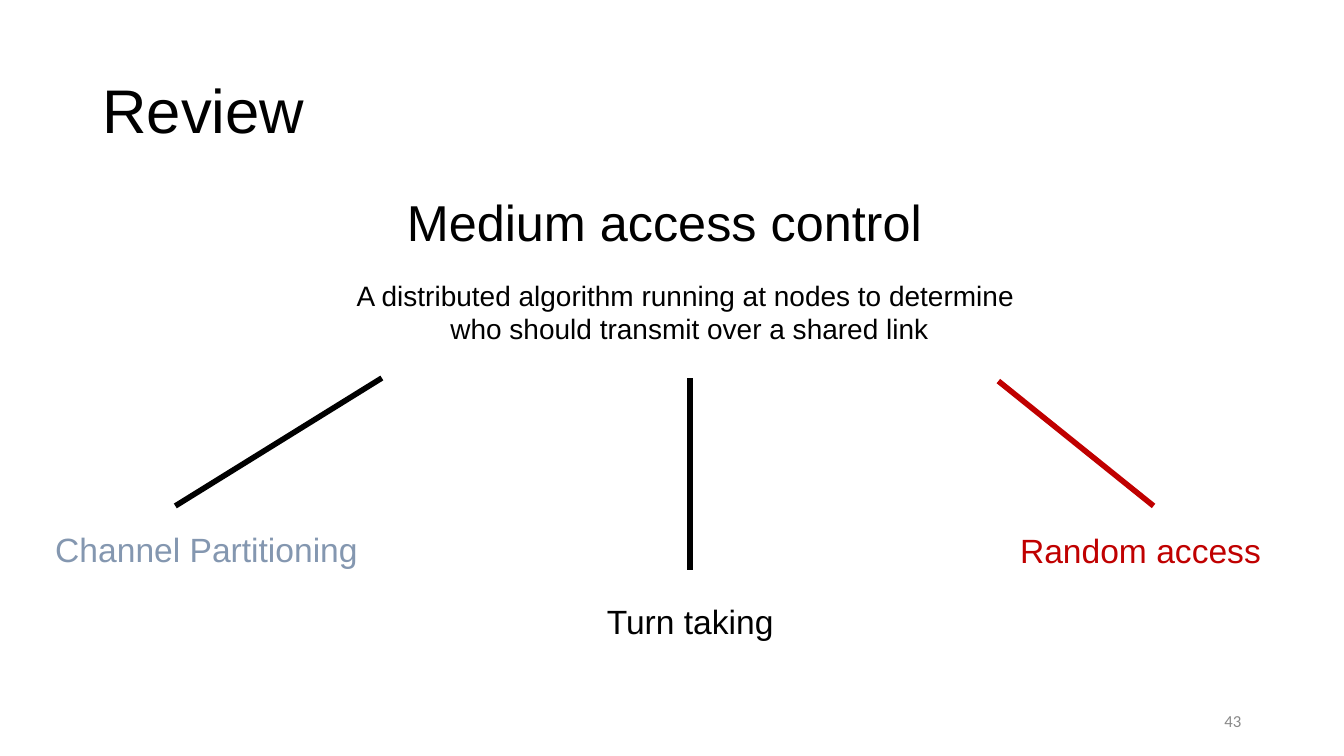
from lxml import etree
from pptx import Presentation
from pptx.dml.color import RGBColor
from pptx.enum.shapes import MSO_CONNECTOR
from pptx.enum.text import MSO_ANCHOR, PP_ALIGN
from pptx.oxml.ns import qn
from pptx.util import Pt

LEFT, CENTER, RIGHT = PP_ALIGN.LEFT, PP_ALIGN.CENTER, PP_ALIGN.RIGHT
TOP, MIDDLE = MSO_ANCHOR.TOP, MSO_ANCHOR.MIDDLE
STRAIGHT = MSO_CONNECTOR.STRAIGHT
BLACK = RGBColor(0x00, 0x00, 0x00)
RED = RGBColor(0xC0, 0x00, 0x00)
BLUE_GRAY = RGBColor(0x84, 0x97, 0xB0)
GRAY = RGBColor(0x89, 0x89, 0x89)

prs = Presentation()
prs.slide_width, prs.slide_height = Pt(960.5), Pt(540)
s = prs.slides.add_slide(prs.slide_layouts[6])


def add_text(box, lines, size, color=BLACK, align=LEFT, anchor=TOP, font="Arial"):
    tf = s.shapes.add_textbox(*map(Pt, box)).text_frame
    tf.word_wrap = True
    tf.vertical_anchor = anchor
    tf.text = "\n".join(lines)
    for p in tf.paragraphs:
        p.alignment = align
        p.font.name, p.font.size = font, Pt(size)
        p.font.color.rgb = color
    return tf


title = add_text((66.2, 28.8, 828, 104.4), ["Review"], 44, anchor=MIDDLE)
title.paragraphs[0].line_spacing = 0.9

add_text((283.7, 133.2, 419, 50.4), ["Medium access control"], 36)
definition = ["A distributed algorithm running at nodes to determine ",
              "who should transmit over a shared link"]
add_text((170.6, 195.1, 644.4, 55.4), definition, 20, align=CENTER)

branches = [
    ("Channel Partitioning", 32.4, 374.4, LEFT, BLUE_GRAY, BLACK, (272.9, 270, 125.3, 361.4)),
    ("Turn taking", 376.6, 425.5, CENTER, BLACK, BLACK, (493.2, 270, 493.2, 406.8)),
    ("Random access", 698.4, 375.1, CENTER, RED, RED, (713.5, 272.2, 824.4, 361.4)),
]
for label, left, top, align, text_color, line_color, ends in branches:
    line = s.shapes.add_connector(STRAIGHT, *map(Pt, ends))
    line.line.color.rgb = line_color
    line.line.width = Pt(4)
    etree.SubElement(line._element.spPr, qn("a:effectLst"))
    add_text((left, top, 233.3, 36), [label], 24, text_color, align)

add_text((678.2, 500.4, 216, 28.8), ["43"], 12, GRAY, RIGHT, MIDDLE, "Calibri")

prs.save("out.pptx")
